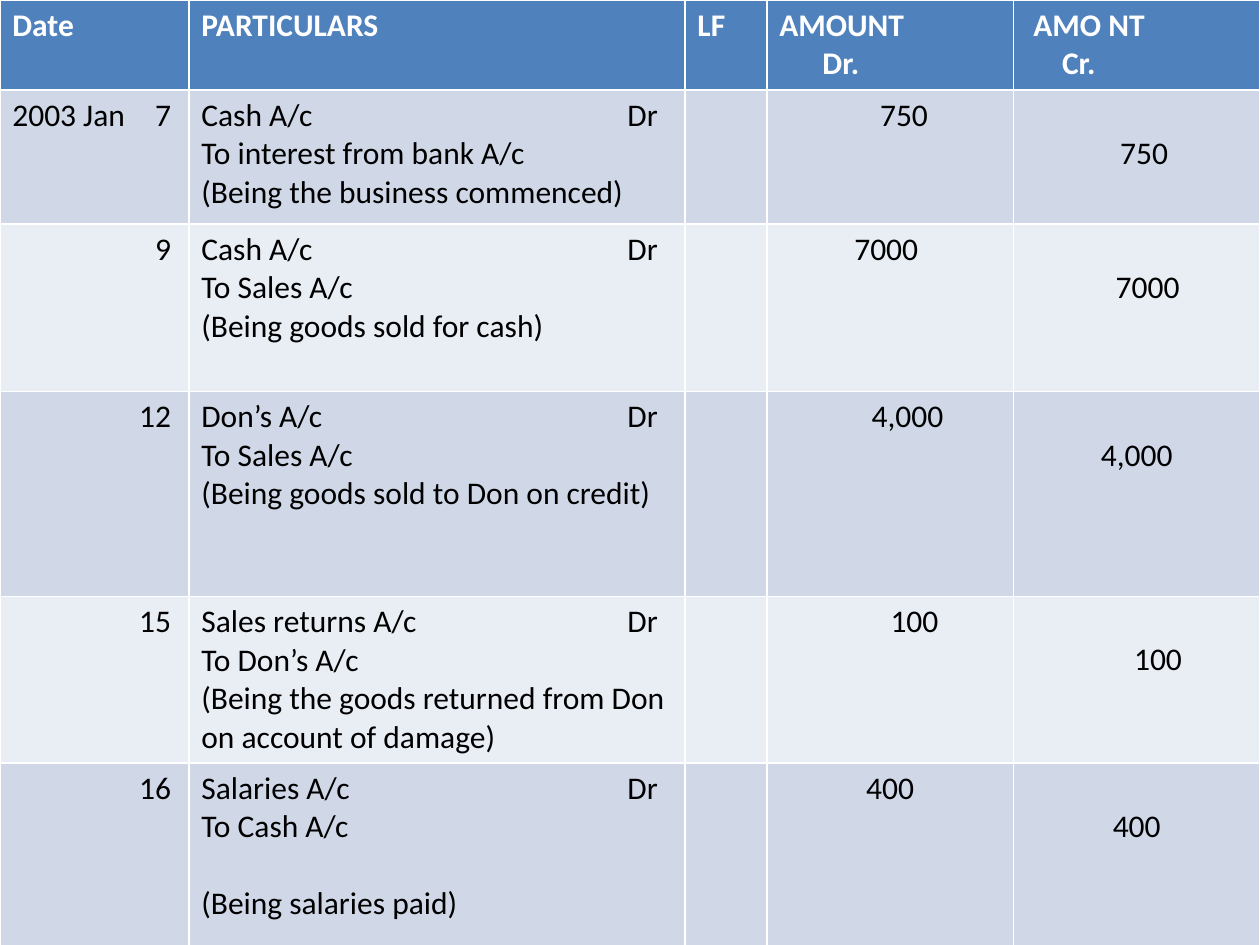
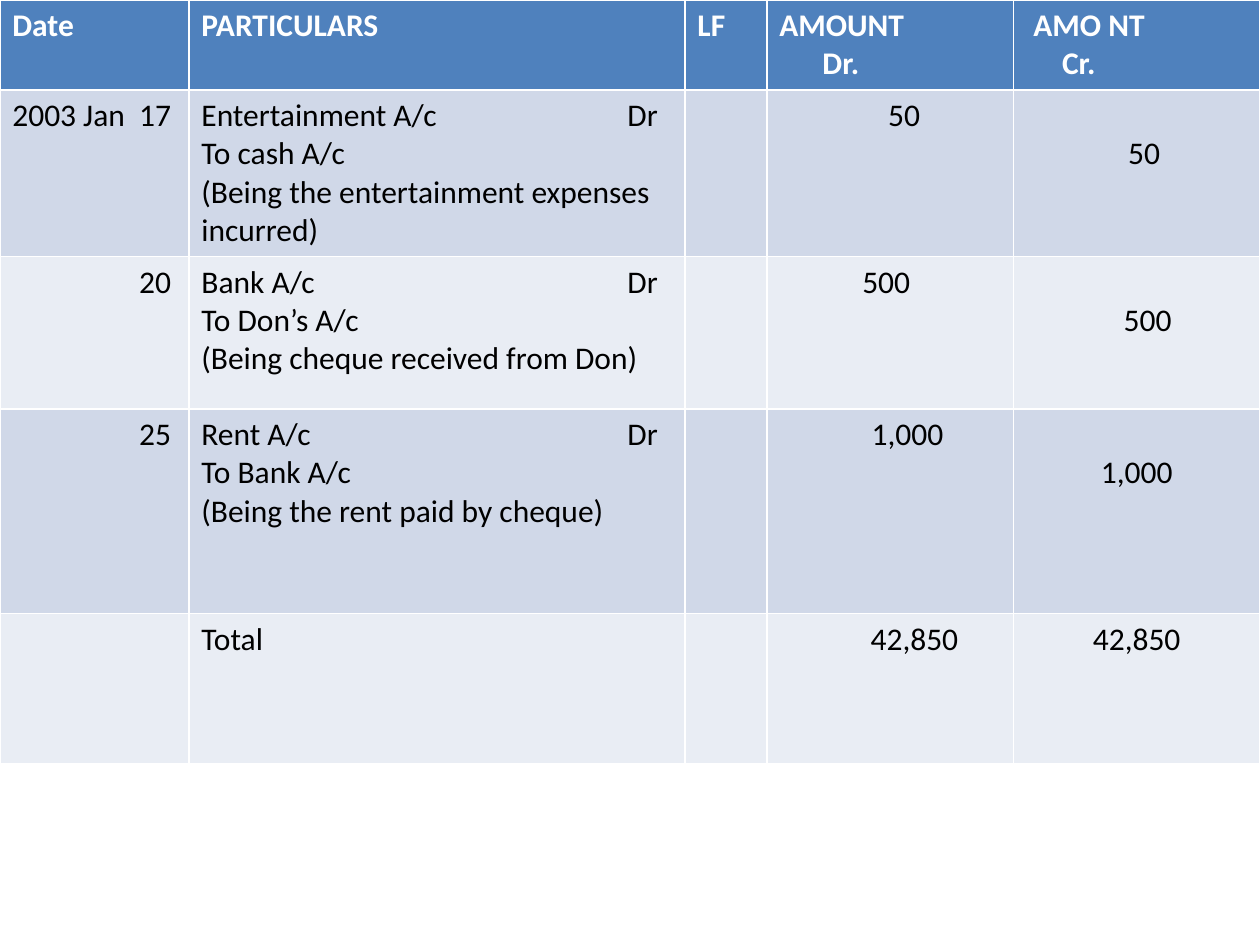
import lxml.etree
import pptx
import pptx.dml.color
import pptx.enum.text
import pptx.oxml.ns
import pptx.util

Cm = pptx.util.Cm
Pt = pptx.util.Pt
CENTER = pptx.enum.text.PP_ALIGN.CENTER
LEFT = pptx.enum.text.PP_ALIGN.LEFT


class Journal:
    colours = {"header": "4F81BD", "odd": "D0D8E8", "even": "E9EDF4",
               "header_text": "FFFFFF", "text": "000000"}
    font = "Calibri"
    size = Pt(18)
    line = Cm(0.77)
    side, top = Cm(0.25), Cm(0.13)
    columns = [3.81, 10, 1.65, 4.97, 4.97]
    header_height = 1.78
    date_tab, debit_tab = Cm(3.2), Cm(9.2)
    headings = [[("Date", 0)], [("PARTICULARS", 0)], [("LF", 0)],
                [("AMOUNT", 0), ("Dr.", 0.87)],
                [("AMO NT", 0.15), ("Cr.", 0.73)]]

    def __init__(self):
        self.deck = pptx.Presentation()
        self.deck.slide_width, self.deck.slide_height = Cm(25.4), Cm(19.05)
        self.slide = None

    def add_slide(self):
        self.slide = self.deck.slides.add_slide(self.deck.slide_layouts[6])

    def colour(self, name):
        return pptx.dml.color.RGBColor.from_string(self.colours[name])

    def paint(self, cell, band):
        cell.fill.solid()
        cell.fill.fore_color.rgb = self.colour(band)
        cell.margin_left = cell.margin_right = self.side
        cell.margin_top = cell.margin_bottom = self.top

    def add_line(self, cell, number, text, colour="text", bold=False,
                 align=LEFT, indent=0, tab=None):
        frame = cell.text_frame
        paragraph = frame.add_paragraph() if number else frame.paragraphs[0]
        paragraph.alignment = align
        run = paragraph.add_run()
        run.text = text
        run.font.name, run.font.size, run.font.bold = self.font, self.size, bold
        run.font.color.rgb = self.colour(colour)
        properties = paragraph._p.get_or_add_pPr()
        if indent:
            properties.set("marL", str(Cm(indent)))
        if tab:
            stops = lxml.etree.SubElement(properties, pptx.oxml.ns.qn("a:tabLst"))
            lxml.etree.SubElement(stops, pptx.oxml.ns.qn("a:tab"),
                                  pos=str(tab), algn="r")
        return paragraph

    def header(self, cells):
        for cell, lines in zip(cells, self.headings):
            self.paint(cell, "header")
            for number, (text, indent) in enumerate(lines):
                self.add_line(cell, number, text, "header_text", True, indent=indent)

    def amount(self, cell, value, shift, lowered=False):
        cell.margin_left = self.side + Cm(shift)
        if lowered:
            cell.margin_top = self.top + self.line
        self.add_line(cell, 0, value, align=CENTER)

    def entry(self, cells, band, date, particulars, value, debit_shift, credit_shift):
        for cell in cells:
            self.paint(cell, band)
        date_cell, particulars_cell, _, debit, credit = cells
        if date:
            self.add_line(date_cell, 0, date, tab=self.date_tab)
        for number, text in enumerate(particulars):
            gap = text.startswith("|")
            paragraph = self.add_line(particulars_cell, number, text.lstrip("|"),
                                      tab=self.debit_tab if "\t" in text else None)
            if gap:
                paragraph.space_before = self.line
        self.amount(debit, value, debit_shift)
        self.amount(credit, value, credit_shift, lowered=len(particulars) > 1)

    def table(self, entries):
        heights = [self.header_height] + [entry[0] for entry in entries]
        table = self.slide.shapes.add_table(
            len(heights), len(self.columns), 0, 0,
            Cm(sum(self.columns)), Cm(sum(heights))).table
        for column, width in zip(table.columns, self.columns):
            column.width = Cm(width)
        for row, height in zip(table.rows, heights):
            row.height = Cm(height)
        rows = [list(row.cells) for row in table.rows]
        self.header(rows[0])
        for number, (cells, entry) in enumerate(zip(rows[1:], entries)):
            self.entry(cells, "even" if number % 2 else "odd", *entry[1:])


early_january = [
    (2.7, "2003 Jan\t7",
     ["Cash A/c\tDr", "To interest from bank A/c", "(Being the business commenced)"],
     "750", 0.56, 0.3),
    (3.38, "\t9",
     ["Cash A/c\tDr", "To Sales A/c", "(Being goods sold for cash)"],
     "7000", -0.16, 0.44),
    (4.13, "\t12",
     ["Don’s A/c\tDr", "To Sales A/c", "(Being goods sold to Don on credit)"],
     "4,000", 0.7, 0),
    (3.35, "\t15",
     ["Sales returns A/c\tDr", "To Don’s A/c",
      "(Being the goods returned from Don on account of damage)"],
     "100", 0.98, 0.86),
    (3.99, "\t16",
     ["Salaries A/c\tDr", "To Cash A/c", "|(Being salaries paid)"],
     "400", 0, 0),
]
late_january = [
    (3.35, "2003 Jan\t17",
     ["Entertainment A/c\tDr", "To cash A/c",
      "(Being the entertainment expenses incurred)"],
     "50", 0.56, 0.3),
    (3.07, "\t20",
     ["Bank A/c\tDr", "To Don’s A/c", "(Being cheque received from Don)"],
     "500", -0.16, 0.44),
    (4.13, "\t25",
     ["Rent A/c\tDr", "To Bank A/c", "(Being the rent paid by cheque)"],
     "1,000", 0.7, 0),
    (3.02, "", ["Total"], "42,850", 0.98, 0),
]

journal = Journal()
for entries in (early_january, late_january):
    journal.add_slide()
    journal.table(entries)
journal.deck.save("out.pptx")
